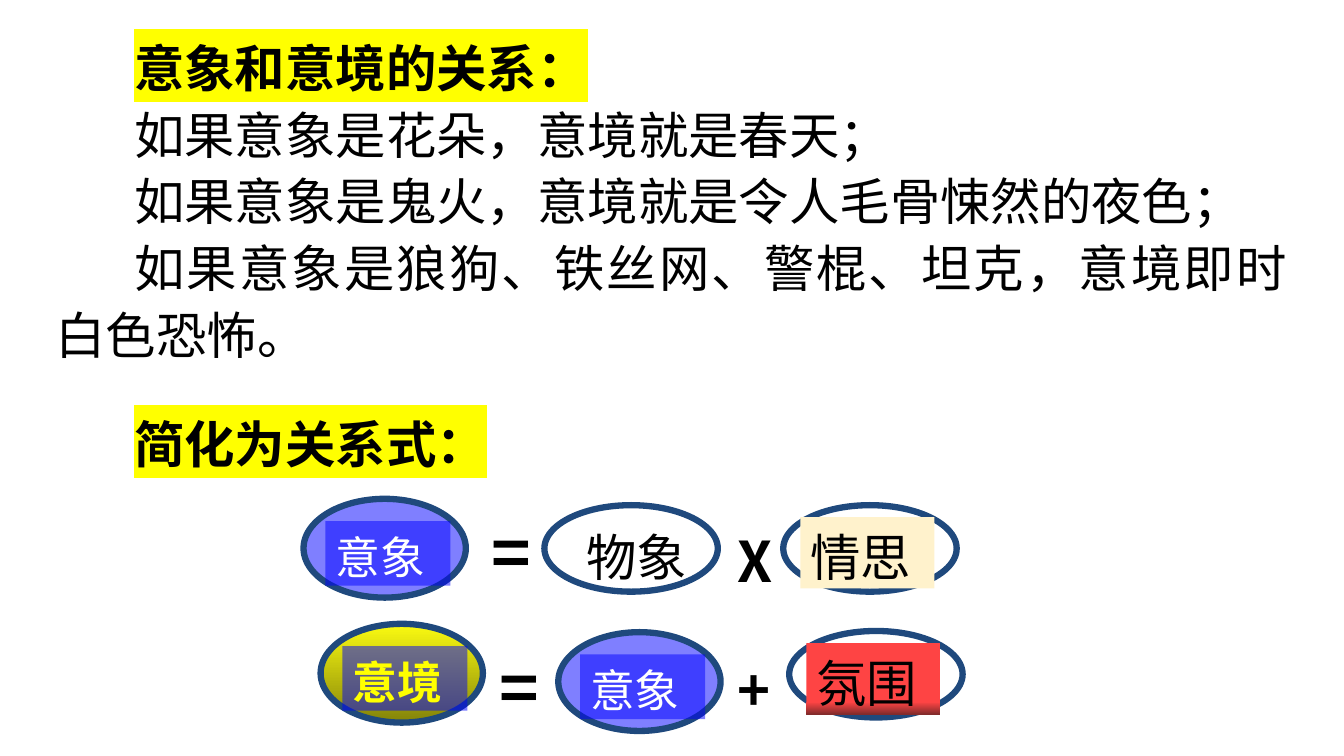
import lxml.etree
import pptx
import pptx.dml.color
import pptx.enum.shapes
import pptx.enum.text
import pptx.oxml.ns
import pptx.util

Cm, Pt = pptx.util.Cm, pptx.util.Pt
RGBColor = pptx.dml.color.RGBColor
SHAPES = pptx.enum.shapes.MSO_SHAPE
ALIGN = pptx.enum.text.PP_ALIGN
qn = pptx.oxml.ns.qn

BLACK = RGBColor(0x00, 0x00, 0x00)
WHITE = RGBColor(0xFF, 0xFF, 0xFF)
YELLOW = RGBColor(0xFF, 0xFF, 0x00)
BLUE = RGBColor(0x00, 0x00, 0xFF)
NAVY = RGBColor(0x1F, 0x49, 0x7D)
CREAM = RGBColor(0xFF, 0xF2, 0xCC)
LEMON = RGBColor(0xFB, 0xFB, 0x11)
OLIVE = RGBColor(0x83, 0x83, 0x09)
RED = RGBColor(0xFE, 0x44, 0x44)
MAROON = RGBColor(0x83, 0x2B, 0x2B)
SANS = "Noto Sans CJK SC"
SERIF = "Times New Roman"


def write(paragraph, text, size, color=BLACK, bold=False, latin=SERIF, marked=False):
    """Add one run, with a yellow highlight if marked."""
    run = paragraph.add_run()
    run.text = text
    run.font.size = Pt(size)
    run.font.bold = bold
    run.font.color.rgb = color
    run.font.name = latin
    latin_tag = run.font._element.find(qn("a:latin"))
    east_asian = lxml.etree.Element(qn("a:ea"), typeface=SANS)
    latin_tag.addnext(east_asian)
    if marked:
        highlight = lxml.etree.Element(qn("a:highlight"))
        lxml.etree.SubElement(highlight, qn("a:srgbClr"), val=str(YELLOW))
        latin_tag.addprevious(highlight)


def paint(shape, paints):
    """Fill with nothing, a solid colour (blue is half clear), or gradient stops."""
    shape.shadow.inherit = False
    if paints is None:
        shape.fill.background()
    elif isinstance(paints, RGBColor):
        shape.fill.solid()
        shape.fill.fore_color.rgb = paints
        if paints == BLUE:
            color_tag = shape.fill._xPr.find(qn("a:solidFill"))[0]
            lxml.etree.SubElement(color_tag, qn("a:alpha"), val="50000")
    else:
        shape.fill.gradient()
        shape.fill.gradient_angle = 270
        for stop, (position, color) in zip(shape.fill.gradient_stops, paints):
            stop.position = position
            stop.color.rgb = color


deck = pptx.Presentation()
deck.slide_width, deck.slide_height = Cm(33.87), Cm(19.05)
slide = deck.slides.add_slide(deck.slide_layouts[6])

# Explanation: text, is heading, line spacing, space before
explanation = [
    ("意象和意境的关系：", True, 67.5, 0),
    ("如果意象是花朵，意境就是春天；", False, 47.6, 0),
    ("如果意象是鬼火，意境就是令人毛骨悚然的夜色；", False, 47.6, 0),
    ("如果意象是狼狗、铁丝网、警棍、坦克，意境即时白色恐怖。", False, 47.6, 0),
    ("简化为关系式：", True, 47.6, 30.5),
]
body = slide.shapes.add_textbox(Cm(1.07), Cm(-0.1), Cm(31.7), Cm(12.24)).text_frame
body.word_wrap = True
body.margin_left = body.margin_right = Cm(0.33)
body.margin_top = body.margin_bottom = Cm(0.18)
for index, (text, heading, spacing, gap) in enumerate(explanation):
    paragraph = body.add_paragraph() if index else body.paragraphs[0]
    paragraph.alignment = ALIGN.JUSTIFY
    paragraph.line_spacing = Pt(spacing)
    paragraph.space_before = Pt(gap)
    paragraph._p.get_or_add_pPr().set("indent", str(Cm(1.98)))
    write(paragraph, text, 36, bold=heading, latin=SERIF if index == 0 else SANS, marked=heading)

# Sizes by kind of term: oval, label, label offset down, text size
IMAGE = ((4.09, 2.49), (3.15, 1.63), 0.56, 32)
FACTOR = ((4.37, 2.18), (3.38, 1.8), 0.3, 36)

# Terms: word, kind, left, top, label offset right, oval fill, label fill, text colour
terms = [
    ("意象", IMAGE, 7.65, 12.57, 0.55, BLUE, BLUE, WHITE),
    ("物象", FACTOR, 13.72, 12.73, 0.81, None, None, BLACK),
    ("情思", FACTOR, 19.74, 12.73, 0.43, None, CREAM, BLACK),
    ("意境", IMAGE, 8.08, 15.72, 0.55, [(0, LEMON), (1, OLIVE)], BLUE, YELLOW),
    ("意象", IMAGE, 14.07, 15.93, 0.55, BLUE, BLUE, WHITE),
    ("氛围", FACTOR, 19.89, 15.9, 0.43, None, [(0.83, RED), (1, MAROON)], BLACK),
]
for word, kind, left, top, inset, oval_fill, label_fill, color in terms:
    oval_size, label_size, drop, size = kind
    oval = slide.shapes.add_shape(SHAPES.OVAL, Cm(left), Cm(top), *map(Cm, oval_size))
    paint(oval, oval_fill)
    oval.line.color.rgb = NAVY
    oval.line.width = Pt(4.5)

    label = slide.shapes.add_shape(
        SHAPES.RECTANGLE, Cm(left + inset), Cm(top + drop), *map(Cm, label_size))
    paint(label, label_fill)
    label.line.fill.background()
    label.text_frame.word_wrap = True
    label.text_frame.vertical_anchor = pptx.enum.text.MSO_ANCHOR.TOP
    paragraph = label.text_frame.paragraphs[0]
    paragraph.alignment = ALIGN.LEFT
    paragraph.line_spacing = Pt(size * 1.28)
    write(paragraph, word, size, color, bold=color == YELLOW)

# Operators: sign, left, top, width, height, text size
operators = [
    ("=", 12.14, 12.62, 1.37, 2.31, 48),
    ("X", 18.34, 13.03, 1.4, 1.96, 40),
    ("=", 12.34, 16.03, 1.37, 2.31, 48),
    ("+", 18.34, 16.28, 1.22, 1.96, 40),
]
for sign, left, top, width, height, size in operators:
    frame = slide.shapes.add_textbox(Cm(left), Cm(top), Cm(width), Cm(height)).text_frame
    frame.word_wrap = False
    frame.paragraphs[0].line_spacing = Pt(size * 1.28)
    write(frame.paragraphs[0], sign, size, bold=True, latin=SANS)

deck.save("out.pptx")
